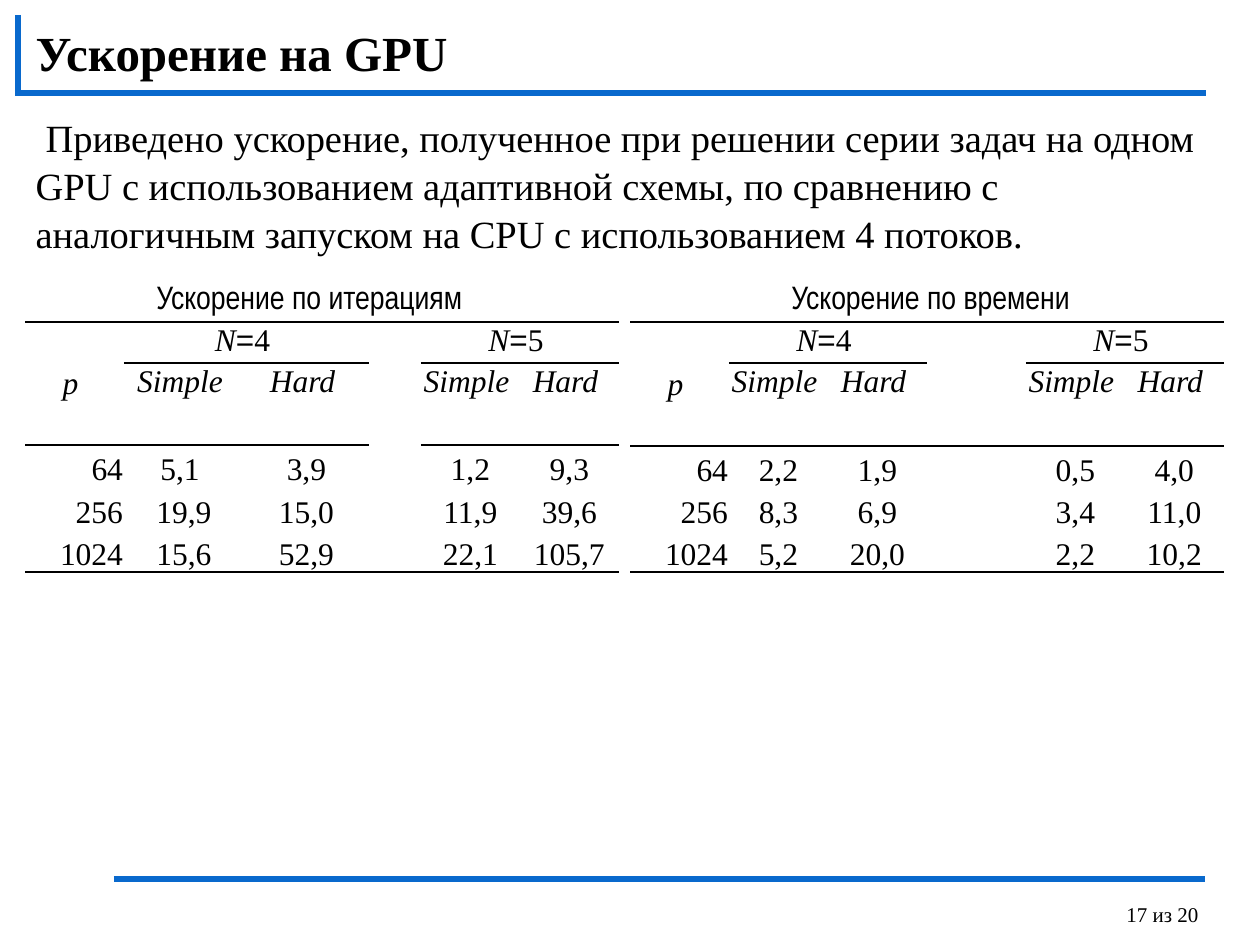
from lxml import etree
from pptx import Presentation
from pptx.dml.color import RGBColor
from pptx.enum.shapes import MSO_CONNECTOR
from pptx.enum.text import MSO_ANCHOR, MSO_AUTO_SIZE, PP_ALIGN
from pptx.oxml.ns import qn
from pptx.util import Pt

# Content
TITLE = "Ускорение на GPU"
BODY = ("Приведено ускорение, полученное при решении серии задач на одном GPU "
        "с использованием адаптивной схемы, по сравнению с аналогичным запуском "
        "на CPU с использованием 4 потоков.")
PAGE = "17 из 20"
SIZES = ["64", "256", "1024"]
ALL, GROUPS = {0, 1, 2, 3, 4, 5}, {1, 2, 4, 5}
# rules: horizontal line above row k -> columns it crosses
TABLES = [
    dict(caption="Ускорение по времени", caption_box=(779, 271, 358, 52),
         left=630, cols=[99] * 6, rows=[41, 83, 42, 42, 42],
         rules={0: ALL, 1: GROUPS, 2: ALL, 5: ALL},
         values=[["2,2", "1,9", "", "0,5", "4,0"],
                 ["8,3", "6,9", "", "3,4", "11,0"],
                 ["5,2", "20,0", "", "2,2", "10,2"]]),
    dict(caption="Ускорение по итерациям", caption_box=(144, 271, 393, 52),
         left=25, cols=[99, 120, 125, 52, 99, 99], rows=[41, 82, 42, 43, 42],
         rules={0: ALL, 1: GROUPS, 2: ALL - {3}, 5: ALL},
         values=[["5,1 ", "3,9", "", "1,2", "9,3"],
                 ["19,9", "15,0", "", "11,9", "39,6"],
                 ["15,6", "52,9", "", "22,1", "105,7"]]),
]
TABLE_TOP = 322
LINES = [(114, 879, 1205, 879), (15, 93, 1206, 93), (18, 15, 18, 94)]
COLORS = {"text": "000000", "accent": "0969CD"}
SERIF, SANS, NARROW = "Times New Roman", "Arial", "Arial Narrow"
NO_STYLE = "{2D5ABB26-0587-4C30-8999-92F81FD0307C}"


def px(n):
    return round(n * 914400 / 126)


def place(sp, box):
    sp.left, sp.top, sp.width, sp.height = map(px, box)


def add_run(p, text, size, font=SERIF, bold=False, italic=False):
    r = p.add_run()
    r.text = text
    r.font.size, r.font.name = Pt(size), font
    r.font.bold, r.font.italic = bold, italic
    r.font.color.rgb = RGBColor.from_string(COLORS["text"])


def add_label(s, box, text, size, font, spacing=None):
    sp = s.shapes.add_textbox(*map(px, box))
    p = sp.text_frame.paragraphs[0]
    p.line_spacing = spacing
    add_run(p, text, size, font)
    return sp.text_frame


def set_borders(cell, top, bottom):
    tc_pr = cell.fill._xPr
    for pos, (tag, on) in enumerate((("a:lnT", top), ("a:lnB", bottom))):
        ln = etree.Element(qn(tag), w=str(Pt(1) if on else 0))
        if on:
            fill = etree.SubElement(ln, qn("a:solidFill"))
            etree.SubElement(fill, qn("a:srgbClr"), val=COLORS["text"])
        else:
            etree.SubElement(ln, qn("a:noFill"))
        tc_pr.insert(pos, ln)


def cell_runs(row, col, values):
    """Runs of one cell as (text, font, italic)."""
    if row >= 2:
        line = [SIZES[row - 2]] + values[row - 2]
        return [(line[col], SERIF, False)]
    if row == 0 and col in (1, 4):
        n = {1: "4 ", 4: "5 "}[col]
        return [("N", SERIF, True), ("=", SANS, False), (n, SERIF, False)]
    heads = (["p ", "", "", "", "", ""],
             ["", "Simple ", "Hard ", "", "Simple ", "Hard "])
    return [(heads[row][col], SERIF, True)]


def add_speedup_table(s, left, cols, rows, rules, values):
    frame = s.shapes.add_table(len(rows), len(cols), px(left), px(TABLE_TOP),
                               px(sum(cols)), px(sum(rows)))
    table = frame.table
    table.first_row = table.horz_banding = False
    for style in frame._element.iter(qn("a:tableStyleId")):
        style.text = NO_STYLE
    for col, w in zip(table.columns, cols):
        col.width = px(w)
    for row, h in zip(table.rows, rows):
        row.height = px(h)
    for first, last in (((0, 0), (1, 0)), ((0, 1), (0, 2)), ((0, 4), (0, 5))):
        table.cell(*first).merge(table.cell(*last))
    for r in range(len(rows)):
        for c in range(len(cols)):
            cell = table.cell(r, c)
            cell.margin_left = cell.margin_right = cell.margin_top = px(1)
            cell.margin_bottom = 0
            cell.fill.background()
            end = r + (cell.span_height if cell.is_merge_origin else 1)
            set_borders(cell, c in rules.get(r, ()), c in rules.get(end, ()))
            if r >= 2:
                cell.vertical_anchor = MSO_ANCHOR.BOTTOM
            elif c == 0:
                cell.vertical_anchor = MSO_ANCHOR.MIDDLE
            p = cell.text_frame.paragraphs[0]
            p.alignment = PP_ALIGN.RIGHT if r >= 2 and c == 0 else PP_ALIGN.CENTER
            for text, font, italic in cell_runs(r, c, values):
                if text:
                    add_run(p, text, 18, font, italic=italic)


def main():
    prs = Presentation()
    prs.slide_width, prs.slide_height = px(1260), px(945)
    s = prs.slides.add_slide(prs.slide_layouts[1])

    # Frame lines and page number
    for line in LINES:
        cn = s.shapes.add_connector(MSO_CONNECTOR.STRAIGHT, *map(px, line))
        cn.line.color.rgb = RGBColor.from_string(COLORS["accent"])
        cn.line.width = Pt(3)
        etree.SubElement(cn._element.spPr, qn("a:effectLst"))
    tf = add_label(s, (1114, 883, 146, 62), PAGE, 12, SERIF, 1.5)
    tf.word_wrap = True

    # Title
    title = s.shapes.title
    place(title, (23, 20, 1071, 63))
    tf = title.text_frame
    tf.auto_size, tf.vertical_anchor = MSO_AUTO_SIZE.NONE, MSO_ANCHOR.MIDDLE
    p = tf.paragraphs[0]
    p.alignment = PP_ALIGN.LEFT
    add_run(p, TITLE, 28, bold=True)

    # Introductory paragraph
    body = s.placeholders[1]
    place(body, (-25, 106, 1240, 137))
    tf = body.text_frame
    tf.auto_size = MSO_AUTO_SIZE.NONE
    p = tf.paragraphs[0]
    p.line_spacing = 1.04
    p_pr = p._p.get_or_add_pPr()
    p_pr.set("marL", str(px(48)))
    p_pr.set("indent", str(px(10)))
    etree.SubElement(p_pr, qn("a:buNone"))
    add_run(p, BODY, 22)

    # Captioned tables
    for t in TABLES:
        tf = add_label(s, t["caption_box"], t["caption"], 18.5, NARROW)
        tf.word_wrap = False
        add_speedup_table(s, t["left"], t["cols"], t["rows"], t["rules"], t["values"])

    prs.save("out.pptx")


if __name__ == "__main__":
    main()
